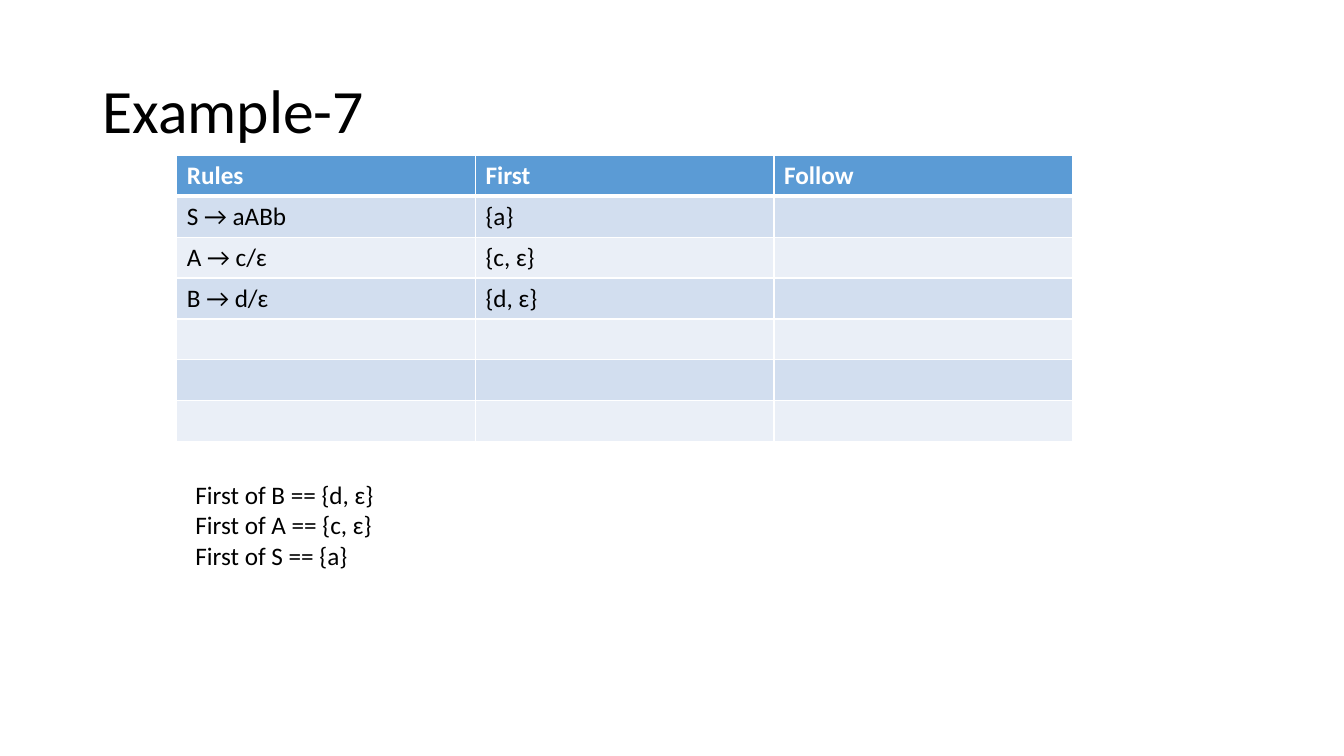
from lxml.etree import SubElement
from pptx import Presentation
from pptx.dml.color import RGBColor
from pptx.enum.text import MSO_ANCHOR, MSO_AUTO_SIZE, PP_ALIGN
from pptx.oxml.ns import qn
from pptx.util import Pt

COLORS = {
    "text": "000000",
    "header_text": "FFFFFF",
    "border": "FFFFFF",
    "header": "5B9BD5",
    "odd_row": "D2DEEF",
    "even_row": "EAEFF7",
}
FONT = "Calibri"
RULES = [
    ("Rules", "First", "Follow"),
    ("S → aABb", "{a}", ""),
    ("A → c/ɛ", "{c, ɛ}", ""),
    ("B → d/ɛ", "{d, ɛ}", ""),
] + [("", "", "")] * 3
FIRST_SETS = ["First of B == {d, ɛ}", "First of A == {c, ɛ}", "First of S == {a}"]


def style_paragraph(paragraph, size, color="text", bold=False):
    """Set the font of a whole paragraph."""
    font = paragraph.font
    font.name, font.size, font.bold = FONT, Pt(size), bold
    font.color.rgb = RGBColor.from_string(COLORS[color])


def add_borders(cell, bottom_width, top_width):
    """Draw solid borders around a table cell."""
    properties = cell._tc.get_or_add_tcPr()
    widths = {"a:lnL": 1, "a:lnR": 1, "a:lnT": top_width, "a:lnB": bottom_width}
    for side, width in widths.items():
        border = SubElement(properties, qn(side), w=str(Pt(width)))
        fill = SubElement(border, qn("a:solidFill"))
        SubElement(fill, qn("a:srgbClr"), val=COLORS["border"])


def add_heading(slide, wording, left, top, width, height):
    """Fill and place the title placeholder."""
    heading = slide.shapes.title
    heading.left, heading.top = Pt(left), Pt(top)
    heading.width, heading.height = Pt(width), Pt(height)
    frame = heading.text_frame
    frame.text = wording
    frame.auto_size = MSO_AUTO_SIZE.NONE
    frame.vertical_anchor = MSO_ANCHOR.MIDDLE
    paragraph = frame.paragraphs[0]
    paragraph.alignment = PP_ALIGN.LEFT
    paragraph.line_spacing = 0.9
    style_paragraph(paragraph, 44)


def add_rules_table(slide, rules, left, top, width, height):
    """Add the grammar table with a header and banded rows."""
    table = slide.shapes.add_table(
        len(rules), len(rules[0]), Pt(left), Pt(top), Pt(width), Pt(height)
    ).table
    for row, entries in enumerate(rules):
        is_header = row == 0
        band = "header" if is_header else "odd_row" if row % 2 else "even_row"
        for column, entry in enumerate(entries):
            cell = table.cell(row, column)
            cell.text = entry
            style_paragraph(
                cell.text_frame.paragraphs[0], 18,
                "header_text" if is_header else "text", is_header,
            )
            add_borders(cell, 3 if is_header else 1, 3 if row == 1 else 1)
            cell.fill.solid()
            cell.fill.fore_color.rgb = RGBColor.from_string(COLORS[band])


def add_first_sets(slide, first_sets, left, top, width, height):
    """List the First sets, one to a line."""
    frame = slide.shapes.add_textbox(
        Pt(left), Pt(top), Pt(width), Pt(height)
    ).text_frame
    frame.word_wrap = False
    frame.auto_size = MSO_AUTO_SIZE.SHAPE_TO_FIT_TEXT
    frame.text = "\n".join(first_sets)
    for paragraph in frame.paragraphs:
        style_paragraph(paragraph, 18)


def main():
    """Build and save the slide."""
    presentation = Presentation()
    presentation.slide_width, presentation.slide_height = Pt(960), Pt(540)
    slide = presentation.slides.add_slide(
        presentation.slide_layouts.get_by_name("Title Only")
    )
    add_heading(slide, "Example-7", 66, 28.75, 828, 104.4)
    add_rules_table(slide, RULES, 126.3, 111, 640, 204.4)
    add_first_sets(slide, FIRST_SETS, 132.5, 339, 143.3, 72.7)
    presentation.save("out.pptx")


main()
